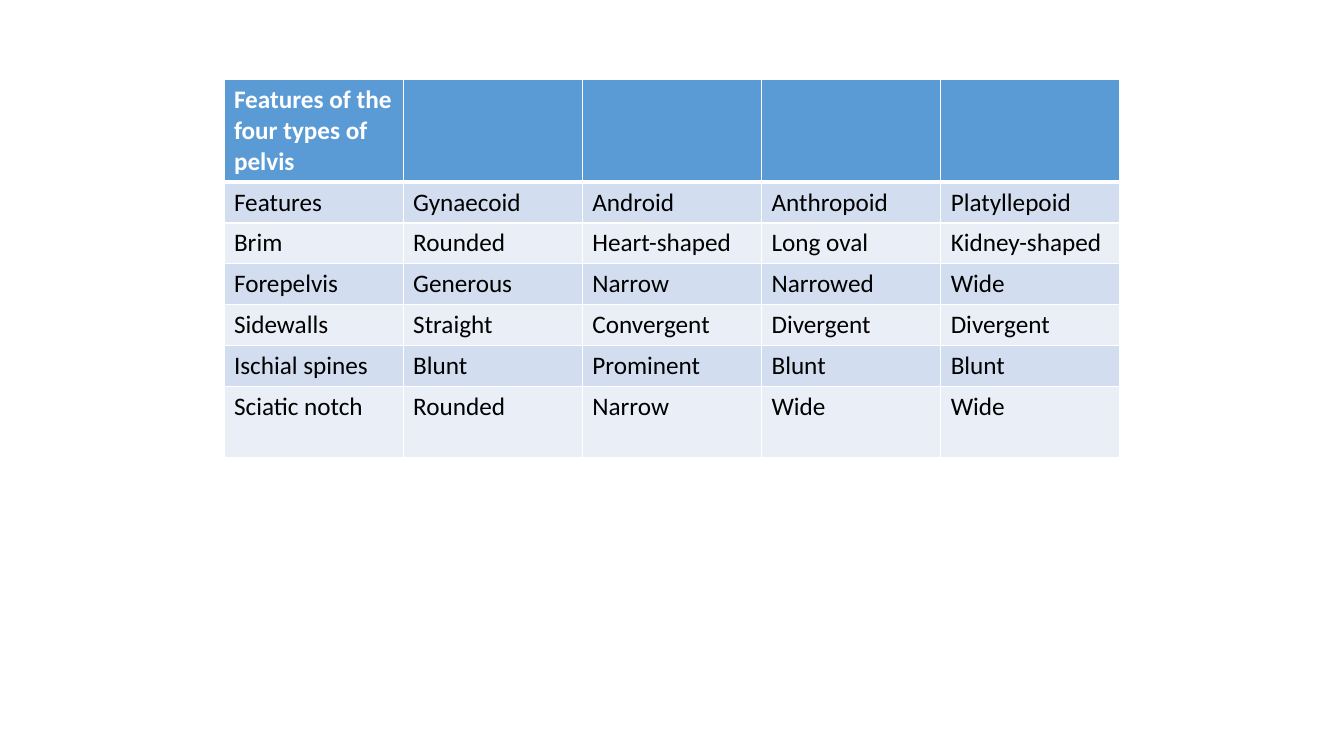
from lxml import etree
from pptx import Presentation
from pptx.dml.color import RGBColor
from pptx.oxml.ns import qn
from pptx.util import Pt

COLORS = {
    "header": "5B9BD5",
    "odd_row": "D2DEEF",
    "even_row": "EAEFF7",
    "white": "FFFFFF",
    "text": "000000",
}
FONT = "Calibri"
BLANK_LAYOUT = 6
COLUMN_WIDTH = 128
HEADER_HEIGHT, ROW_HEIGHT, LAST_HEIGHT = 73.1, 29.2, 50.7

ROWS = [
    ["Features of the four types of pelvis", "", "", "", ""],
    ["Features", "Gynaecoid", "Android", "Anthropoid", "Platyllepoid"],
    ["Brim", "Rounded", "Heart-shaped", "Long oval", "Kidney-shaped"],
    ["Forepelvis", "Generous", "Narrow", "Narrowed", "Wide"],
    ["Sidewalls", "Straight", "Convergent", "Divergent", "Divergent"],
    ["Ischial spines", "Blunt", "Prominent", "Blunt", "Blunt"],
    ["Sciatic notch", "Rounded", "Narrow", "Wide", "Wide"],
]


def add_border(cell, side, width):
    """Draw a white line on one side (L, R, T or B); call before filling the cell."""
    properties = cell._tc.get_or_add_tcPr()
    line = etree.SubElement(properties, qn(f"a:ln{side}"), w=str(Pt(width)))
    fill = etree.SubElement(line, qn("a:solidFill"))
    etree.SubElement(fill, qn("a:srgbClr"), val=COLORS["white"])


presentation = Presentation()
presentation.slide_width = Pt(960)
presentation.slide_height = Pt(540)
slide = presentation.slides.add_slide(presentation.slide_layouts[BLANK_LAYOUT])

row_count, column_count = len(ROWS), len(ROWS[0])
heights = [HEADER_HEIGHT] + [ROW_HEIGHT] * (row_count - 2) + [LAST_HEIGHT]
table = slide.shapes.add_table(
    row_count, column_count, Pt(160), Pt(56.9),
    Pt(COLUMN_WIDTH * column_count), Pt(sum(heights)),
).table

for row_index, (values, height) in enumerate(zip(ROWS, heights)):
    table.rows[row_index].height = Pt(height)
    is_header = row_index == 0
    if is_header:
        fill_color = COLORS["header"]
    else:
        fill_color = COLORS["odd_row" if row_index % 2 else "even_row"]
    border_widths = {
        "L": 1,
        "R": 1,
        "T": 3 if row_index == 1 else 1,
        "B": 3 if is_header else 1,
    }

    for column_index, value in enumerate(values):
        cell = table.cell(row_index, column_index)
        for side, width in border_widths.items():
            add_border(cell, side, width)
        cell.fill.solid()
        cell.fill.fore_color.rgb = RGBColor.from_string(fill_color)
        if value:
            run = cell.text_frame.paragraphs[0].add_run()
            run.text = value
            run.font.name = FONT
            run.font.size = Pt(18)
            run.font.bold = is_header
            text_color = COLORS["white" if is_header else "text"]
            run.font.color.rgb = RGBColor.from_string(text_color)

presentation.save("out.pptx")
